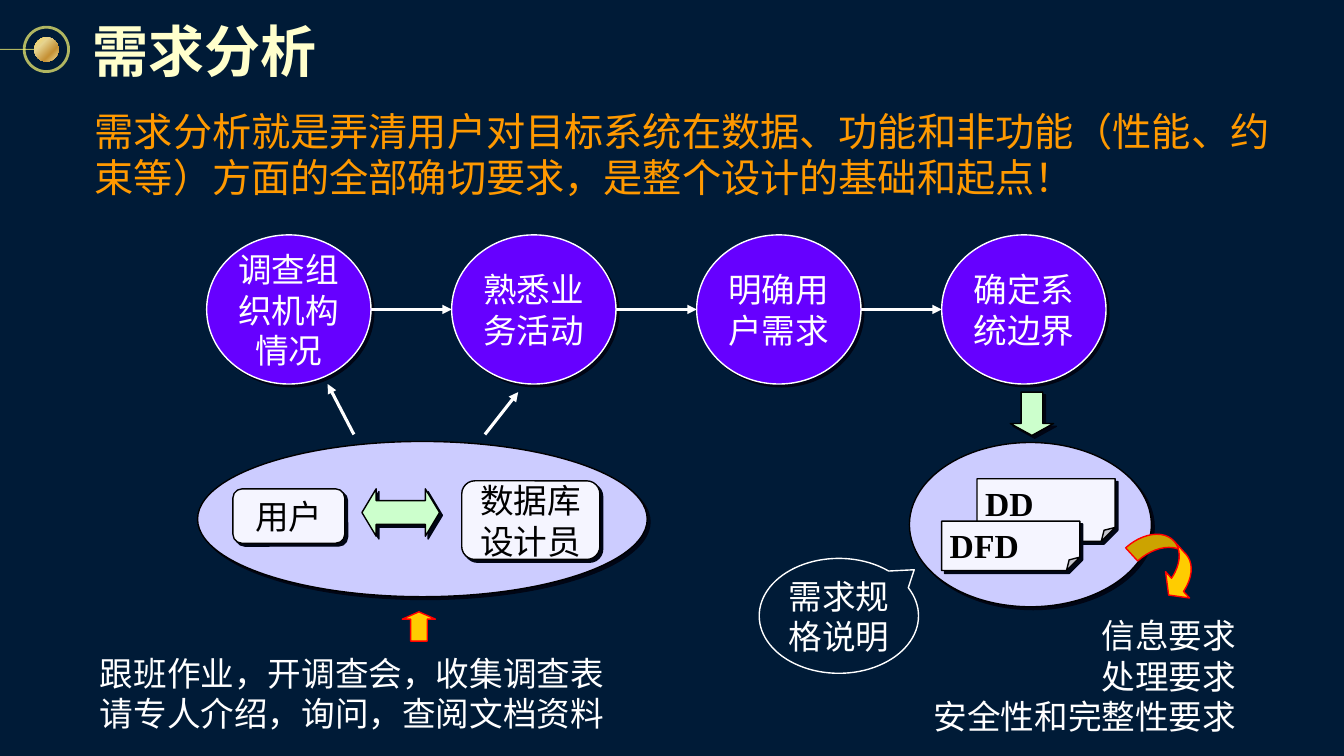
from pptx import Presentation
from pptx import util as u
from pptx.dml.color import RGBColor
from pptx.enum import shapes, text
from pptx.oxml import parse_xml
from pptx.oxml.ns import nsdecls, qn

PX = 9144  # 100 px to the inch
SANS = "Noto Sans CJK SC"
HUES = {
    "back": "001B37", "shade": "000514", "white": "FFFFFF", "black": "000000",
    "cream": "FFFFCC", "orange": "FF9900", "violet": "6600FF", "lilac": "CCCCFF",
    "paper": "F5F5FF", "mint": "CCFFCC", "gold": "FFCC00", "red": "FF0000",
    "lemon": "FCF873",
}
BALL = [(0, "FCD860"), (31, "E6D38F"), (68, "C69135"), (100, "F1DF97")]
FORM = shapes.MSO_SHAPE
LEFT, MID, RIGHT = text.PP_ALIGN.LEFT, text.PP_ALIGN.CENTER, text.PP_ALIGN.RIGHT


def hue(name):
    return RGBColor.from_string(HUES[name])


def size(px):
    return u.Emu(px * PX)


def shade(dist):
    """Effect list with a hard shadow to the lower right."""
    return parse_xml(
        f'<a:effectLst {nsdecls("a")}><a:outerShdw blurRad="0" dist="{int(u.Pt(dist))}" '
        f'dir="2700000" algn="ctr" rotWithShape="0"><a:srgbClr val="{HUES["shade"]}"/>'
        '</a:outerShdw></a:effectLst>')


def fade(line, alpha):
    tint = line._get_or_add_ln().find(".//" + qn("a:srgbClr"))
    tint.append(parse_xml(f'<a:alpha {nsdecls("a")} val="{alpha * 1000}"/>'))


def bend(item, adj):
    """Set the adjustments, also for presets that have no public ones."""
    names = ["adj"] if len(adj) == 1 else [f"adj{i + 1}" for i in range(len(adj))]
    guides = "".join(f'<a:gd name="{name}" fmla="val {round(value * 100000)}"/>'
                     for name, value in zip(names, adj))
    geom = item._element.spPr.find(qn("a:prstGeom"))
    for old in list(geom):
        geom.remove(old)
    geom.append(parse_xml(f'<a:avLst {nsdecls("a")}>{guides}</a:avLst>'))


def write(frame, lines, color, pt=24, font=SANS, bold=False, align=LEFT,
          anchor=text.MSO_ANCHOR.TOP, pads=(0, 0, 0, 0), wrap=True, lead=29):
    """Fill a text frame; lead is the line pitch in points, or None."""
    left, top, right, bottom = map(size, pads)
    look = {"margin_left": left, "margin_top": top, "margin_right": right,
            "margin_bottom": bottom, "word_wrap": wrap, "vertical_anchor": anchor,
            "auto_size": text.MSO_AUTO_SIZE.NONE}
    for key, value in look.items():
        setattr(frame, key, value)
    for i, words in enumerate(lines):
        para = frame.add_paragraph() if i else frame.paragraphs[0]
        para.alignment = align
        if lead:
            para.line_spacing = u.Pt(lead)
        run = para.add_run()
        run.text = words
        for key, value in {"size": u.Pt(pt), "name": font, "bold": bold}.items():
            setattr(run.font, key, value)
        run.font.color.rgb = hue(color)
        latin = run.font._element.find(qn("a:latin"))
        latin.addnext(parse_xml(f'<a:ea {nsdecls("a")} typeface="{font}"/>'))


def label(slide, box, lines, color, **look):
    item = slide.shapes.add_textbox(*map(size, box))
    write(item.text_frame, lines, color, **look)
    return item


def shape(slide, form, box, fill=None, edge="black", width=1, adj=(), turn=0,
          cast=True):
    item = slide.shapes.add_shape(form, *map(size, box))
    item.rotation = turn
    if adj:
        bend(item, adj)
    if fill:
        item.fill.solid()
        item.fill.fore_color.rgb = hue(fill)
    else:
        item.fill.background()
    if edge:
        item.line.color.rgb = hue(edge)
        item.line.width = u.Pt(width)
    else:
        item.line.fill.background()
    item.shadow.inherit = False
    if cast:
        props = item._element.spPr
        props.replace(props.find(qn("a:effectLst")), shade(2.8))
    return item


def block(slide, form, box, words, fill, color="black", edge="black", adj=(),
          cast=True, **look):
    """Shape with centred words inside."""
    item = shape(slide, form, box, fill, edge, adj=adj, cast=cast)
    look = {"align": MID, "anchor": text.MSO_ANCHOR.MIDDLE, **look}
    write(item.text_frame, [words], color, **look)


def rule(slide, start, end, color="white", width=2.25, head=True):
    item = slide.shapes.add_connector(
        shapes.MSO_CONNECTOR.STRAIGHT, *map(size, start + end))
    item.line.color.rgb = hue(color)
    item.line.width = u.Pt(width)
    if head:
        item.line._get_or_add_ln().append(
            parse_xml(f'<a:tailEnd {nsdecls("a")} type="triangle"/>'))
    item._element.spPr.append(parse_xml(f'<a:effectLst {nsdecls("a")}/>'))
    return item


def badge(slide):
    ring = shape(slide, FORM.OVAL, (24, 27, 44, 44), None, "lemon", 2,
                 turn=270, cast=False)
    stem = rule(slide, (0, 49), (34, 49), "lemon", 0.75, False)
    for item in (ring, stem):
        fade(item.line, 70)
    ball = shape(slide, FORM.OVAL, (34, 37, 24, 24), None, None, turn=270, cast=False)
    stops = "".join(f'<a:gs pos="{pos * 1000}"><a:srgbClr val="{tint}"/></a:gs>'
                    for pos, tint in BALL)
    props = ball._element.spPr
    props.replace(props.find(qn("a:noFill")), parse_xml(
        f'<a:gradFill {nsdecls("a")} rotWithShape="1"><a:gsLst>{stops}</a:gsLst>'
        '<a:lin ang="8100000" scaled="0"/></a:gradFill>'))


def heads(slide):
    title = slide.shapes.title
    for key, px in {"left": 84, "top": 97, "width": 1205, "height": 64}.items():
        setattr(title, key, size(px))
    write(title.text_frame,
          ["需求分析就是弄清用户对目标系统在数据、功能和非功能（性能、约束等）"
           "方面的全部确切要求，是整个设计的基础和起点！"],
          "orange", pt=28, pads=(10, 10, 10, 5), lead=33)
    name = label(slide, (84, 8, 240, 83), ["需求分析"], "cream", pt=40, font="Arial",
                 bold=True, anchor=text.MSO_ANCHOR.MIDDLE, pads=(8, 8, 8, 8),
                 wrap=False, lead=None)
    font = name.text_frame.paragraphs[0].runs[0].font
    font._element.find(qn("a:solidFill")).addnext(shade(2))


def steps(slide):
    wide, pitch, left = 163, 243, 205
    names = ["调查组织机构情况", "熟悉业务活动", "明确用户需求", "确定系统边界"]
    for i, words in enumerate(names):
        x = left + i * pitch
        block(slide, FORM.OVAL, (x, 233, wide, 148), words, "violet", "white", "white")
        if i:
            rule(slide, (x - pitch + wide, 307), (x, 307))


def people(slide):
    shape(slide, FORM.OVAL, (196, 438, 446, 154), "lilac")
    for box, words in [((231, 485, 111, 54), "用户"), ((458, 477, 137, 78), "数据库设计员")]:
        block(slide, FORM.ROUNDED_RECTANGLE, box, words, "paper", adj=[0.167])
    shape(slide, FORM.LEFT_RIGHT_ARROW, (359, 485, 77, 47), "mint", adj=[0.5, 0.3])
    rule(slide, (351, 431), (325, 381))
    rule(slide, (481, 431), (514, 389))
    shape(slide, FORM.RIGHT_ARROW, (401, 605, 29, 33), "gold", "red",
          adj=[0.5, 0.25], turn=270, cast=False)
    label(slide, (99, 647, 539, 80),
          ["跟班作业，开调查会，收集调查表", "请专人介绍，询问，查阅文档资料"], "white")


def papers(slide):
    shape(slide, FORM.OVAL, (902, 439, 240, 163), "lilac")
    for box, words, fold in [((969, 475, 137, 62), "DD", 0.221),
                             ((934, 517, 137, 49), "DFD", 0.27)]:
        block(slide, FORM.FOLDED_CORNER, box, words, "paper", adj=[fold],
              font="Times New Roman", bold=True, align=LEFT,
              anchor=text.MSO_ANCHOR.TOP, pads=(8, 4, 0, 0), wrap=False, lead=None)
    shape(slide, FORM.DOWN_ARROW, (1002, 389, 43, 43), "mint", adj=[0.5, 0.275])
    shape(slide, FORM.CURVED_DOWN_ARROW, (1118, 540, 81, 40), "gold", "red",
          adj=[0.442, 0.883, 0.333], turn=47.7, cast=False)
    block(slide, FORM.OVAL_CALLOUT, (753, 554, 158, 114), "需求规格说明", None,
          "white", "white", adj=[0.473, -0.401], cast=False)
    label(slide, (917, 610, 309, 121), ["信息要求", "处理要求", "安全性和完整性要求"],
          "white", align=RIGHT)


def main():
    deck = Presentation()
    deck.slide_width, deck.slide_height = size(1333), size(750)
    slide = deck.slides.add_slide(deck.slide_layouts[5])
    slide.background.fill.solid()
    slide.background.fill.fore_color.rgb = hue("back")
    for part in (badge, heads, steps, people, papers):
        part(slide)
    deck.save("out.pptx")


if __name__ == "__main__":
    main()
